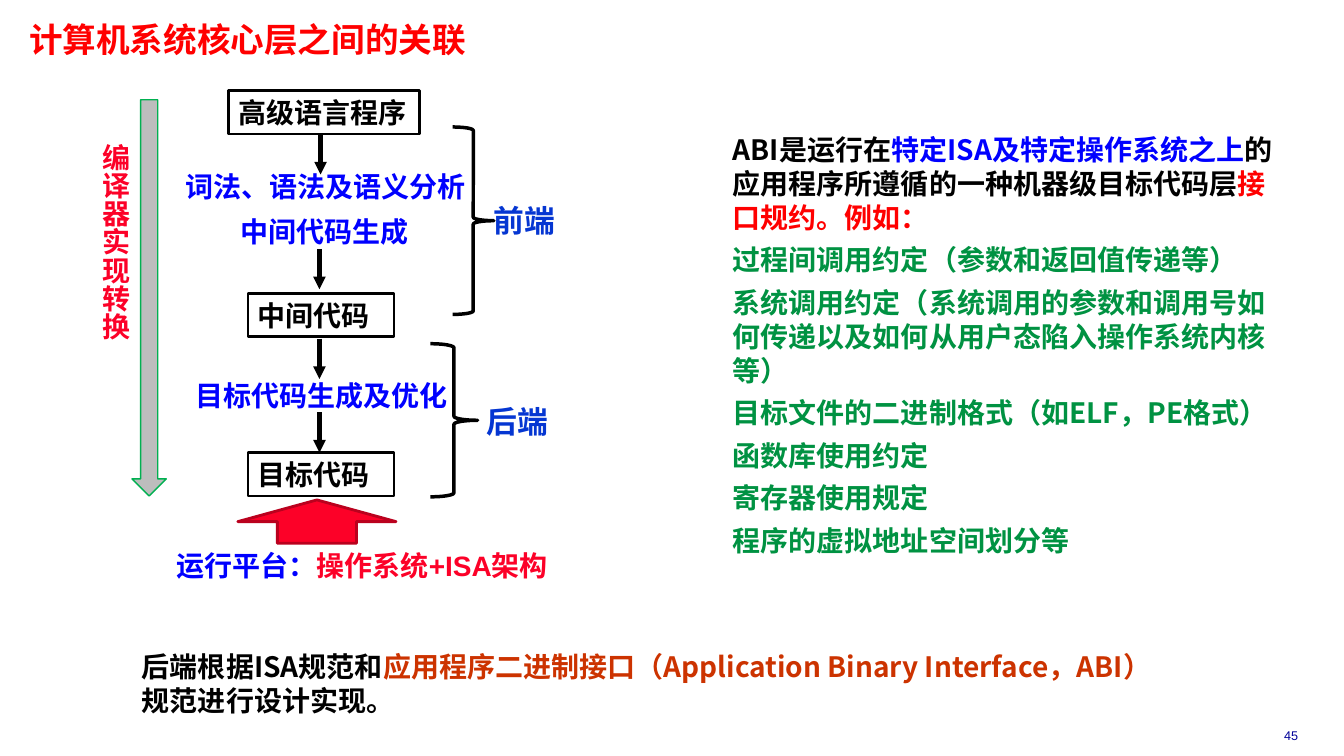
"""Build a slide on how the core layers of a computer system are linked."""
from lxml.etree import SubElement
from pptx import Presentation
from pptx.dml.color import RGBColor
from pptx.enum.shapes import MSO_CONNECTOR, MSO_SHAPE
from pptx.enum.text import MSO_ANCHOR, MSO_AUTO_SIZE, PP_ALIGN
from pptx.oxml.ns import qn
from pptx.util import Pt

BLACK = RGBColor(0x00, 0x00, 0x00)
BLUE = RGBColor(0x00, 0x00, 0xFF)
NAVY = RGBColor(0x00, 0x00, 0x99)
ROYAL = RGBColor(0x05, 0x36, 0xD2)
RED = RGBColor(0xFF, 0x00, 0x00)
ROSE = RGBColor(0xFC, 0x01, 0x28)
WINE = RGBColor(0xBA, 0x01, 0x1E)
RUST = RGBColor(0xCC, 0x33, 0x00)
GREEN = RGBColor(0x00, 0x92, 0x42)
LIME = RGBColor(0x00, 0xB0, 0x50)
GREY = RGBColor(0xBD, 0xBD, 0xBD)

ARIAL = "Arial"
NOTO = "Noto Sans CJK SC"
PITCH = Pt(24.3)

RULES = [
    [("ABI是运行在", BLACK), ("特定ISA及特定操作系统之上", BLUE),
     ("的应用程序所遵循的一种机器级目标代码层", BLACK), ("接口规约。例如：", RED)],
    "过程间调用约定（参数和返回值传递等）",
    "系统调用约定（系统调用的参数和调用号如何传递以及如何从用户态陷入操作系统内核等）",
    "目标文件的二进制格式（如ELF，PE格式）",
    "函数库使用约定",
    "寄存器使用规定",
    "程序的虚拟地址空间划分等",
]
NOTE = [("后端根据ISA规范和", BLACK),
        ("应用程序二进制接口（Application Binary Interface，ABI）", RUST),
        ("规范进行设计实现。", BLACK)]
BASE = [("运行平台：", BLUE), ("操作系统+ISA架构", ROSE)]


def write(shape, *text, size=20, font=ARIAL, color=BLACK, bold=True, pitch=None,
          gap=0, align=PP_ALIGN.LEFT, anchor=MSO_ANCHOR.MIDDLE, inset=(7.2, 3.6)):
    """Fill a shape with paragraphs, each a string or a list of coloured parts."""
    frame = shape.text_frame
    frame.word_wrap = True
    frame.auto_size = MSO_AUTO_SIZE.NONE
    frame.vertical_anchor = anchor
    frame.margin_left = frame.margin_right = Pt(inset[0])
    frame.margin_top = frame.margin_bottom = Pt(inset[1])
    for index, parts in enumerate(text):
        para = frame.add_paragraph() if index else frame.paragraphs[0]
        props = para._p.get_or_add_pPr()
        props.set("marL", "0")
        props.set("indent", "0")
        SubElement(props, qn("a:buNone"))
        para.alignment = align
        para.space_before = Pt(gap if index else 0)
        para.line_spacing = pitch
        for words, tint in [(parts, color)] if isinstance(parts, str) else parts:
            run = para.add_run()
            run.text = words
            run.font.size = Pt(size)
            run.font.bold = bold
            run.font.name = font
            run.font.color.rgb = tint
            SubElement(run._r.rPr, qn("a:ea")).set("typeface", NOTO)


def place(shape, left, top, width, height):
    """Move and size a placeholder."""
    shape.left, shape.top = Pt(left), Pt(top)
    shape.width, shape.height = Pt(width), Pt(height)
    return shape


def label(slide, place_at, *text, **style):
    """Add a text box."""
    box = slide.shapes.add_textbox(*map(Pt, place_at))
    write(box, *text, **style)
    return box


def draw(slide, kind, place_at, line, weight, fill=None):
    """Add a preset shape with an outline and an optional fill."""
    shape = slide.shapes.add_shape(kind, *map(Pt, place_at))
    shape.shadow.inherit = False
    shape.line.color.rgb = line
    shape.line.width = Pt(weight)
    if fill is None:
        shape.fill.background()
    else:
        shape.fill.solid()
        shape.fill.fore_color.rgb = fill
    return shape


def arrow(slide, x, top, length=28.8):
    """Add an arrow that points down."""
    link = slide.shapes.add_connector(
        MSO_CONNECTOR.STRAIGHT, Pt(x), Pt(top), Pt(x), Pt(top + length))
    link.line.color.rgb = BLACK
    link.line.width = Pt(3)
    SubElement(link.line._get_or_add_ln(), qn("a:tailEnd")).set("type", "triangle")
    SubElement(link._element.spPr, qn("a:effectLst"))


def main():
    """Build and save the slide."""
    deck = Presentation()
    deck.slide_width, deck.slide_height = Pt(960), Pt(540)
    slide = deck.slides.add_slide(deck.slide_layouts[1])

    title = place(slide.shapes.title, 15.8, 15.5, 648, 29.5)
    write(title, "计算机系统核心层之间的关联", size=24, font=NOTO, color=RED,
          pitch=0.87, inset=(5, 2.2))
    body = place(slide.placeholders[1], 516.2, 90.7, 406, 310.3)
    write(body, *RULES, font=NOTO, color=GREEN, pitch=PITCH, gap=6,
          anchor=MSO_ANCHOR.TOP)

    for words, spot in (("高级语言程序", (163.4, 64.8, 136.1, 31)),
                        ("中间代码", (177.1, 209.5, 104.4, 31)),
                        ("目标代码", (177.1, 323.3, 104.4, 31))):
        write(draw(slide, MSO_SHAPE.RECTANGLE, spot, BLACK, 2), words)

    for words, spot in (("词法、语法及语义分析", (125.3, 117.4, 223.2, 31.7)),
                        ("中间代码生成", (164.9, 149.8, 141.1, 31)),
                        ("目标代码生成及优化", (132.5, 266.4, 198.7, 31.7))):
        label(slide, spot, words, color=BLUE)

    for x, top in ((229, 95.8), (228.2, 177.8), (228.2, 241.9), (228.2, 294.5)):
        arrow(slide, x, top)

    for words, spot, brace in (
            ("前端", (345.6, 132, 69, 51), (323.3, 90.7, 29.5, 133.9)),
            ("后端", (340.6, 283, 69, 36), (307.4, 245.5, 33.8, 109.4))):
        draw(slide, MSO_SHAPE.RIGHT_BRACE, brace, BLACK, 2.5)
        label(slide, spot, words, size=22, font=NOTO, color=ROYAL)

    draw(slide, MSO_SHAPE.UP_ARROW, (169.9, 357.1, 113, 31), WINE, 2, ROSE)
    draw(slide, MSO_SHAPE.DOWN_ARROW, (94.3, 71.3, 24.5, 283), LIME, 1, GREY)
    label(slide, (118.8, 388.1, 296.6, 31.7), BASE)
    side = label(slide, (59, 95.8, 35.3, 221), "编译器实现转换", font=NOTO,
                 color=ROSE, pitch=0.85, anchor=MSO_ANCHOR.TOP, inset=(3.6, 7.2))
    side.text_frame._txBody.bodyPr.set("vert", "eaVert")

    label(slide, (94.3, 460.1, 748.8, 55.4), NOTE, font=NOTO, pitch=PITCH,
          anchor=MSO_ANCHOR.TOP)
    label(slide, (888.5, 516.2, 67.7, 18), "45", size=9, color=NAVY, bold=False,
          align=PP_ALIGN.CENTER)
    deck.save("out.pptx")


if __name__ == "__main__":
    main()
